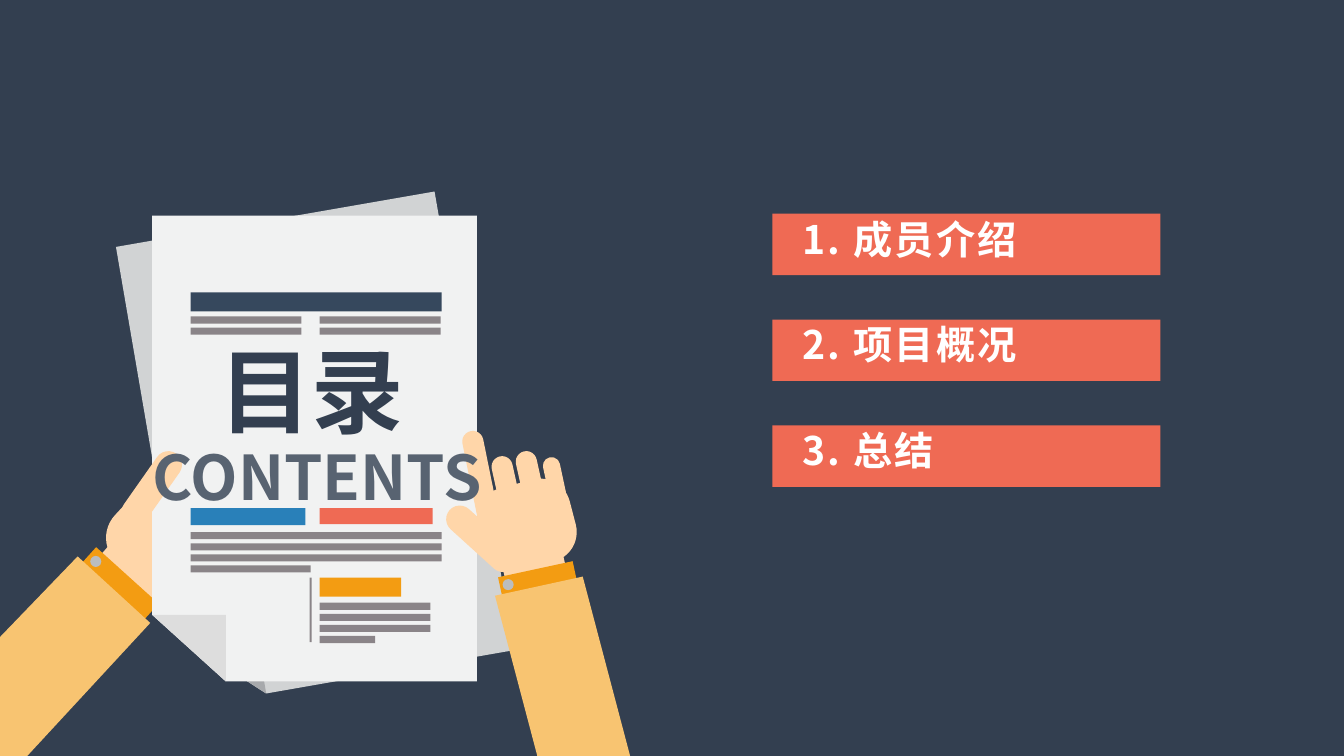
from math import atan2, degrees, hypot
from typing import NamedTuple, Optional

from lxml.etree import SubElement
from pptx import Presentation
from pptx.dml.color import RGBColor
from pptx.enum.shapes import MSO_SHAPE as Shape
from pptx.enum.text import MSO_ANCHOR as Anchor, MSO_AUTO_SIZE as AutoSize, PP_ALIGN as Align
from pptx.oxml.ns import qn
from pptx.util import Inches, Pt

FONT = "Noto Sans CJK SC"
COLORS = {
    "navy": "333F50", "header": "36485D", "slate": "586371", "white": "FFFFFF",
    "back": "D1D3D4", "back_fold": "A7A9AC", "paper": "F1F2F2", "fold": "DDDDDD",
    "skin": "FFD6A9", "orange": "F39C12", "button": "BBBDBF", "sleeve": "F8C471",
    "line": "8A8488", "blue": "2980B9", "coral": "EF6A54",
}
LEFT_COLUMN, RIGHT_COLUMN, FULL_WIDTH = 1.89, 3.17, 2.49
LINE_PITCH = 0.11
ITEM_PITCH = 1.05
BUTTON_SIZE = 0.11

Point = tuple[float, float]


class Outline(NamedTuple):
    color: str
    corners: list[Point]


class Limb(NamedTuple):
    """A tilted bar from start to end; rounded ends reach past both by radius."""
    color: str
    start: Point
    end: Point
    width: float
    radius: Optional[float] = None


class Bar(NamedTuple):
    color: str
    left: float
    top: float
    width: float
    height: float


class TextLines(NamedTuple):
    left: float
    top: float
    widths: list[float]


BACK_SHEET = [
    Outline("back", [(2.64, 6.88), (5.1, 6.45), (4.31, 1.9), (1.15, 2.45), (1.82, 6.35)]),
    Outline("back_fold", [(1.82, 6.35), (2.53, 6.23), (2.64, 6.88)]),
]
FRONT_SHEET = [
    Outline("paper", [(2.24, 6.76), (4.73, 6.76), (4.73, 2.14), (1.51, 2.14), (1.51, 6.1)]),
    Outline("fold", [(1.51, 6.1), (2.24, 6.1), (2.24, 6.76)]),
]
LEFT_SLEEVE = Outline("sleeve", [(1.49, 6.18), (0.27, 7.5), (0, 7.5), (0, 6.32), (0.77, 5.52)])
RIGHT_SLEEVE = Outline("sleeve", [(6.25, 7.5), (5.33, 7.5), (4.91, 5.91), (5.78, 5.72)])
LEFT_BUTTON, RIGHT_BUTTON = (0.95, 5.57), (5.04, 5.8)
LEFT_HAND = [  # wrist, palm, cuff
    Limb("skin", (1.02, 5.48), (1.52, 5.92), 0.2, 0),
    Limb("skin", (1.47, 5.24), (1.74, 5.49), 0.92, 0.33),
    Limb("orange", (0.88, 5.51), (1.5, 6.07), 0.22, 0),
]
LEFT_THUMB = Limb("skin", (1.34, 5.08), (1.67, 4.61), 0.27)
RIGHT_HAND = [  # wrist, palm, five fingers, cuff
    Limb("skin", (5, 5.7), (5.6, 5.57), 0.18, 0),
    Limb("skin", (5.2, 5.09), (5.26, 5.32), 0.93, 0.3),
    Limb("skin", (4.84, 5.12), (4.69, 4.38), 0.21),
    Limb("skin", (4.99, 5.54), (4.56, 5.15), 0.27),
    Limb("skin", (5.06, 4.99), (4.98, 4.63), 0.21),
    Limb("skin", (5.3, 4.94), (5.22, 4.58), 0.21),
    Limb("skin", (5.53, 4.9), (5.47, 4.62), 0.17),
    Limb("orange", (4.96, 5.82), (5.7, 5.66), 0.19, 0),
]
PAPER_BARS = [
    Bar("header", LEFT_COLUMN, 2.9, FULL_WIDTH, 0.19),
    Bar("blue", LEFT_COLUMN, 5.04, 1.14, 0.17),
    Bar("coral", RIGHT_COLUMN, 5.04, 1.12, 0.16),
    Bar("orange", RIGHT_COLUMN, 5.73, 0.81, 0.19),
    Bar("line", 3.07, 5.73, 0.02, 0.64),
]
PAPER_LINES = [
    TextLines(LEFT_COLUMN, 3.14, [1.1] * 2),
    TextLines(RIGHT_COLUMN, 3.14, [1.2] * 2),
    TextLines(LEFT_COLUMN, 5.28, [FULL_WIDTH] * 3 + [1.19]),
    TextLines(RIGHT_COLUMN, 5.98, [1.1] * 3 + [0.55]),
]
ITEMS = ["1. 成员介绍", "2. 项目概况", "3. 总结"]


def rgb(color: str) -> RGBColor:
    return RGBColor.from_string(COLORS[color])


def paint(sp, color: str) -> None:
    sp.shadow.inherit = False
    sp.fill.solid()
    sp.fill.fore_color.rgb = rgb(color)
    sp.line.fill.background()


def draw_outline(shapes, outline: Outline) -> None:
    points = [(Inches(x), Inches(y)) for x, y in outline.corners]
    builder = shapes.build_freeform(*points[0])
    builder.add_line_segments(points[1:], close=True)
    paint(builder.convert_to_shape(), outline.color)


def draw_bar(shapes, bar: Bar, kind: Shape = Shape.RECTANGLE):
    sp = shapes.add_shape(kind, *map(Inches, bar[1:]))
    paint(sp, bar.color)
    return sp


def draw_limb(shapes, limb: Limb) -> None:
    (x1, y1), (x2, y2) = limb.start, limb.end
    radius = limb.width / 2 if limb.radius is None else limb.radius
    length = hypot(x2 - x1, y2 - y1) + 2 * radius
    left, top = (x1 + x2 - length) / 2, (y1 + y2 - limb.width) / 2
    kind = Shape.ROUNDED_RECTANGLE if radius else Shape.RECTANGLE
    sp = draw_bar(shapes, Bar(limb.color, left, top, length, limb.width), kind)
    sp.rotation = degrees(atan2(y2 - y1, x2 - x1))
    if radius:
        sp.adjustments[0] = radius / min(length, limb.width)


def draw_arm(shapes, limbs: list[Limb], button: Point, sleeve: Outline) -> None:
    for limb in limbs:
        draw_limb(shapes, limb)
    left, top = (centre - BUTTON_SIZE / 2 for centre in button)
    draw_bar(shapes, Bar("button", left, top, BUTTON_SIZE, BUTTON_SIZE), Shape.OVAL)
    draw_outline(shapes, sleeve)


def draw_newspaper(s) -> None:
    shapes = s.shapes.add_group_shape().shapes
    for outline in BACK_SHEET:
        draw_outline(shapes, outline)
    draw_arm(shapes, LEFT_HAND, LEFT_BUTTON, LEFT_SLEEVE)
    for outline in FRONT_SHEET:
        draw_outline(shapes, outline)
    for bar in PAPER_BARS:
        draw_bar(shapes, bar)
    for left, top, widths in PAPER_LINES:
        for i, width in enumerate(widths):
            draw_bar(shapes, Bar("line", left, top + i * LINE_PITCH, width, 0.07))
    draw_limb(shapes, LEFT_THUMB)
    draw_arm(shapes, RIGHT_HAND, RIGHT_BUTTON, RIGHT_SLEEVE)


def place(sp, left: float, top: float, width: float, height: float) -> None:
    """Move a text shape into position and bring it to the front."""
    sp.left, sp.top, sp.width, sp.height = map(Inches, (left, top, width, height))
    sp.element.getparent().append(sp.element)
    sp.text_frame.vertical_anchor = Anchor.TOP
    sp.text_frame.auto_size = AutoSize.NONE


def add_run(p, text: str, size: float, color: str, spacing: int = 0) -> None:
    """Add a bold run; spacing is in hundredths of a point."""
    r = p.add_run()
    r.text = text
    r.font.size, r.font.bold, r.font.name = Pt(size), True, FONT
    r.font.color.rgb = rgb(color)
    props = r._r.get_or_add_rPr()
    if spacing:
        props.set("spc", str(spacing))
    SubElement(props, qn("a:ea")).set("typeface", FONT)


def draw_items(s, body) -> None:
    for i in range(len(ITEMS)):
        draw_bar(s.shapes, Bar("coral", 7.66, 2.12 + i * ITEM_PITCH, 3.85, 0.61))
    place(body, 7.88, 2.34, 3.63, 2.45)
    tf = body.text_frame
    tf.margin_left = Inches(0.08)
    for i, item in enumerate(ITEMS):
        p = tf.add_paragraph() if i else tf.paragraphs[0]
        p.alignment, p.line_spacing = Align.JUSTIFY, Pt(15)
        p.space_before = Pt(ITEM_PITCH * 72 - 15) if i else Pt(0)
        props = p._p.get_or_add_pPr()
        props.set("marL", "0")
        props.set("indent", "0")
        SubElement(props, qn("a:buNone"))
        add_run(p, item, 28, "white", 150)


def main() -> None:
    prs = Presentation()
    prs.slide_width, prs.slide_height = Inches(13.33), Inches(7.5)
    s = prs.slides.add_slide(prs.slide_layouts[1])
    s.background.fill.solid()
    s.background.fill.fore_color.rgb = rgb("navy")
    title, body = s.placeholders
    draw_newspaper(s)
    draw_items(s, body)
    place(title, 1.95, 3.26, 2.28, 1.21)
    subtitle = s.shapes.add_textbox(0, 0, 0, 0)
    place(subtitle, 1.32, 4.31, 3.66, 0.84)
    subtitle.text_frame.word_wrap = False
    for sp, text, size, color in ((title, "目录", 66, "navy"), (subtitle, "CONTENTS", 44, "slate")):
        p = sp.text_frame.paragraphs[0]
        p.alignment = Align.CENTER
        add_run(p, text, size, color)
    prs.save("out.pptx")


if __name__ == "__main__":
    main()
